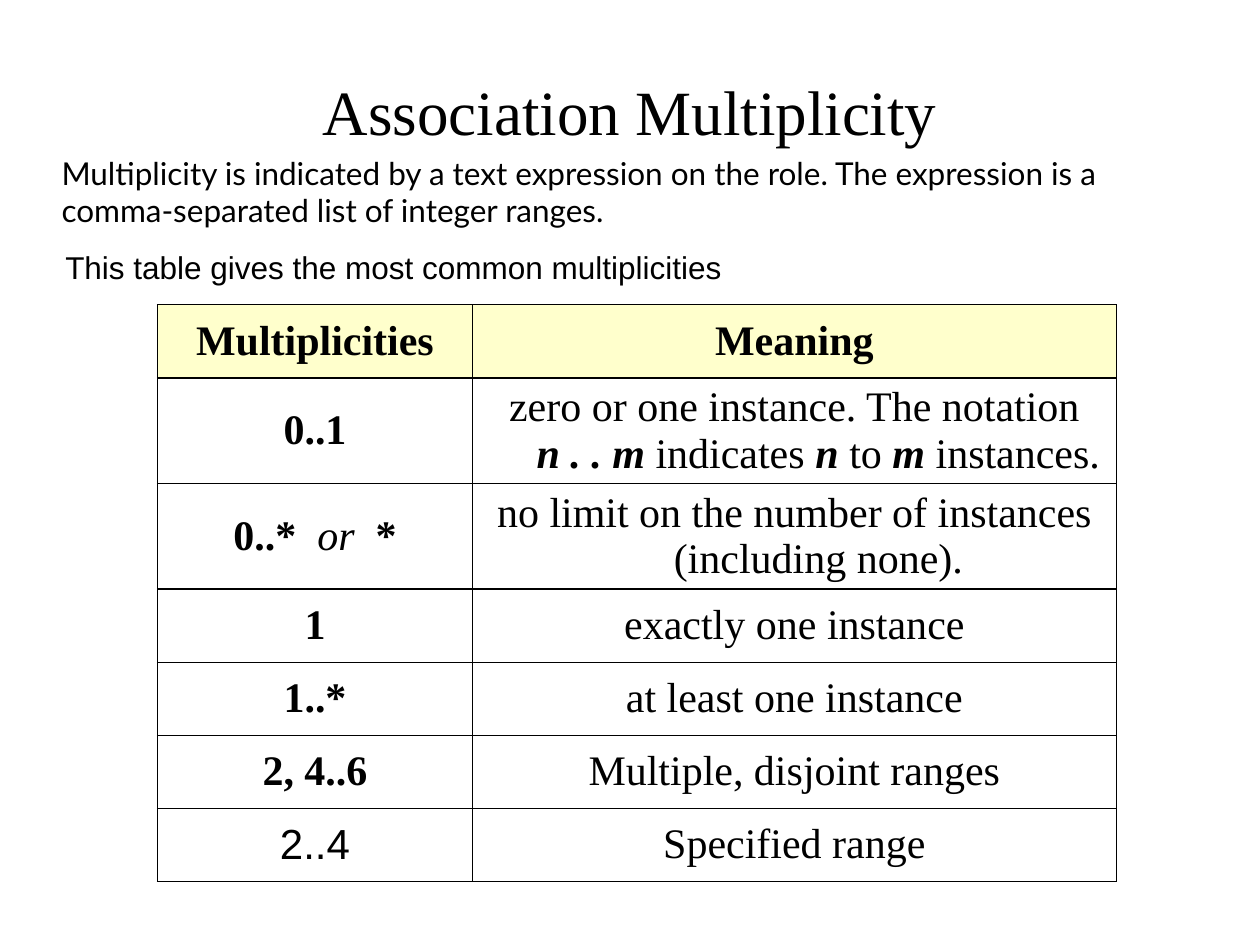
from lxml.etree import SubElement
from pptx import Presentation
from pptx.dml.color import RGBColor
from pptx.enum.text import MSO_ANCHOR as Anchor, MSO_AUTO_SIZE as AutoSize, PP_ALIGN as Align
from pptx.oxml.ns import qn
from pptx.util import Inches, Pt

BLACK = RGBColor(0x00, 0x00, 0x00)
WHITE = RGBColor(0xFF, 0xFF, 0xFF)
PALE_YELLOW = RGBColor(0xFF, 0xFF, 0xCC)

SERIF, SANS, BODY = "Times New Roman", "Arial", "Lato"
PLAIN, BOLD, ITALIC, BOLD_ITALIC = (False, False), (True, False), (False, True), (True, True)

COLUMN_WIDTHS = (2.5, 5.11)
ROW_HEIGHT = 0.58
HANGING_INDENT = 0.38

# Each cell is a list of (text, (bold, italic)) runs.
HEADER = ([("Multiplicities", BOLD)], [("Meaning", BOLD)])
ROWS = (
    ([("0..1", BOLD)],
     [("zero or one instance. The notation ", PLAIN), ("n . . m", BOLD_ITALIC),
      (" indicates ", PLAIN), ("n", BOLD_ITALIC), (" to ", PLAIN),
      ("m", BOLD_ITALIC), (" instances.", PLAIN)]),
    ([("0..*", BOLD), ("  or  ", ITALIC), ("*", BOLD)],
     [("no limit on the number of instances (including none).", PLAIN)]),
    ([("1", BOLD)], [("exactly one instance", PLAIN)]),
    ([("1..*", BOLD)], [("at least one instance", PLAIN)]),
    ([("2, 4..6", BOLD)], [("Multiple, disjoint ranges", PLAIN)]),
    ([("2..4", PLAIN, SANS)], [("Specified range", PLAIN)]),
)


def add_run(paragraph, text, size, font_name, style=PLAIN):
    run = paragraph.add_run()
    run.text = text
    font = run.font
    font.size, font.name = Pt(size), font_name
    font.bold, font.italic = style
    font.color.rgb = BLACK


def add_text(slide, box, text, size, font_name, align=Align.LEFT,
             anchor=Anchor.TOP, wrap=True, grow=True):
    frame = slide.shapes.add_textbox(*map(Inches, box)).text_frame
    frame.word_wrap = wrap
    frame.auto_size = AutoSize.SHAPE_TO_FIT_TEXT if grow else AutoSize.NONE
    frame.vertical_anchor = anchor
    paragraph = frame.paragraphs[0]
    paragraph.alignment = align
    add_run(paragraph, text, size, font_name)


def set_borders(cell):
    properties = cell._tc.get_or_add_tcPr()
    for position, side in enumerate(("a:lnL", "a:lnR", "a:lnT", "a:lnB")):
        line = SubElement(properties, qn(side), w=str(Pt(0.75)))
        fill = SubElement(line, qn("a:solidFill"))
        SubElement(fill, qn("a:srgbClr"), val=str(BLACK))
        properties.insert(position, line)  # borders come before the fill


def fill_cell(cell, runs, color):
    cell.vertical_anchor = Anchor.MIDDLE
    cell.fill.solid()
    cell.fill.fore_color.rgb = color
    set_borders(cell)
    paragraph = cell.text_frame.paragraphs[0]
    paragraph.alignment = Align.CENTER
    properties = paragraph._p.get_or_add_pPr()
    properties.set("marL", str(Inches(HANGING_INDENT)))
    properties.set("indent", str(-Inches(HANGING_INDENT)))
    for text, style, *font_name in runs:
        add_run(paragraph, text, 24, font_name[0] if font_name else SERIF, style)


def add_multiplicity_table(slide, left, top):
    rows = (HEADER, *ROWS)
    table = slide.shapes.add_table(
        len(rows), len(COLUMN_WIDTHS), Inches(left), Inches(top),
        Inches(sum(COLUMN_WIDTHS)), Inches(ROW_HEIGHT * len(rows))).table
    table.horz_banding = False
    for column, width in zip(table.columns, COLUMN_WIDTHS):
        column.width = Inches(width)
    for row_index, row in enumerate(rows):
        table.rows[row_index].height = Inches(ROW_HEIGHT)
        color = WHITE if row_index else PALE_YELLOW
        for column_index, runs in enumerate(row):
            fill_cell(table.cell(row_index, column_index), runs, color)


def main():
    presentation = Presentation()
    presentation.slide_width, presentation.slide_height = Inches(10), Inches(7.5)
    slide = presentation.slides.add_slide(presentation.slide_layouts[6])
    add_text(slide, (0.75, 0.25, 8.5, 1.25), "Association Multiplicity", 36, SERIF,
             align=Align.CENTER, anchor=Anchor.MIDDLE, grow=False)
    add_multiplicity_table(slide, 1.25, 2.42)
    add_text(slide, (0.42, 1.92, 5.46, 0.4),
             "This table gives the most common multiplicities", 18, SANS, wrap=False)
    add_text(slide, (0.39, 1.17, 9.3, 1.01),
             "Multiplicity is indicated by a text expression on the role. "
             "The expression is a comma-separated list of integer ranges.", 18, BODY)
    presentation.save("out.pptx")


if __name__ == "__main__":
    main()
